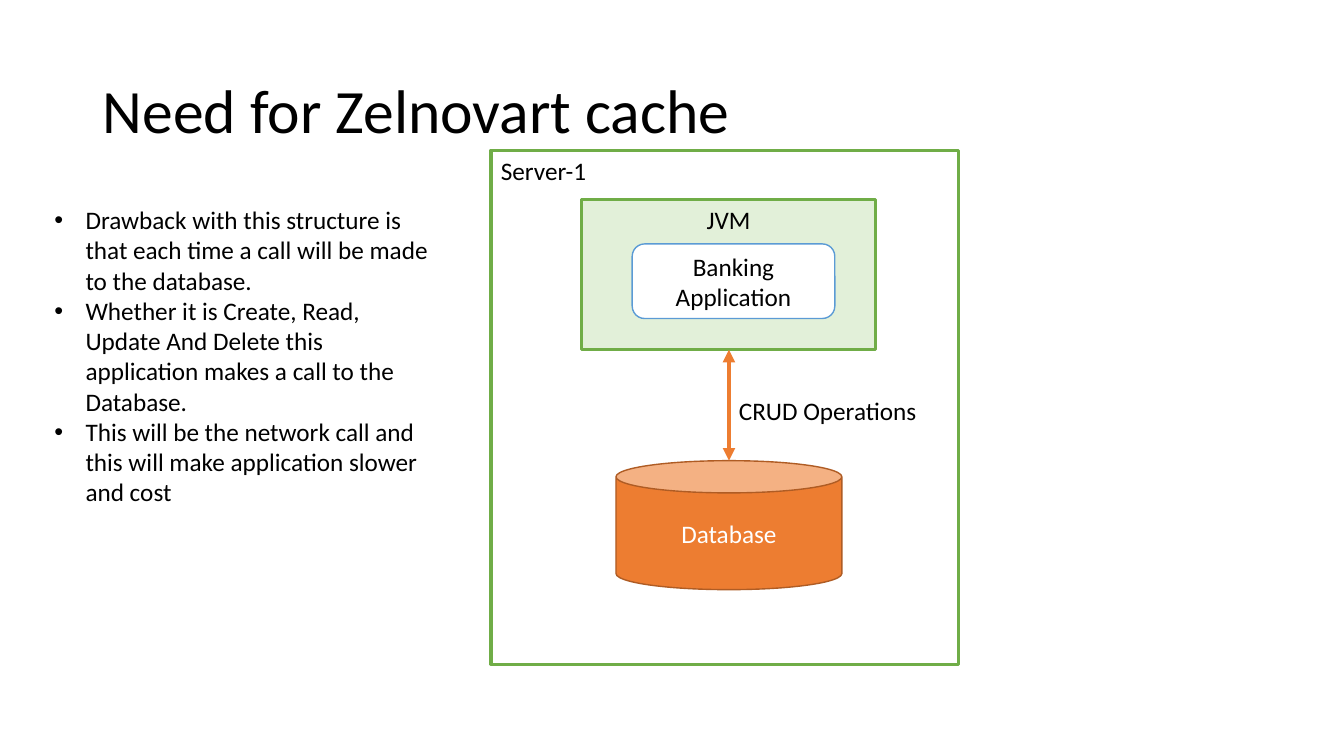
"""Build a slide on why an application that calls its database needs a cache."""
from lxml import etree
from pptx import Presentation
from pptx.dml.color import RGBColor
from pptx.enum.shapes import MSO_CONNECTOR, MSO_SHAPE
from pptx.enum.text import MSO_ANCHOR, MSO_AUTO_SIZE, PP_ALIGN
from pptx.oxml.ns import qn
from pptx.util import Pt

PX = 9144
LEFT, CENTER = PP_ALIGN.LEFT, PP_ALIGN.CENTER
TOP, MIDDLE = MSO_ANCHOR.TOP, MSO_ANCHOR.MIDDLE
RECT, ROUND, CAN = MSO_SHAPE.RECTANGLE, MSO_SHAPE.ROUNDED_RECTANGLE, MSO_SHAPE.CAN
STRAIGHT = MSO_CONNECTOR.STRAIGHT
NO_FIT = MSO_AUTO_SIZE.NONE
BLACK, WHITE, GREEN, ORANGE = "000000", "FFFFFF", "70AD47", "ED7D31"


def rgb(value):
    return RGBColor.from_string(value)


def write(sp, lines, size=18, color=BLACK, align=LEFT, anchor=TOP):
    tf = sp.text_frame
    frame_format = {"word_wrap": True, "auto_size": NO_FIT, "vertical_anchor": anchor}
    for name, value in frame_format.items():
        setattr(tf, name, value)
    for i, line in enumerate(lines):
        p = tf.add_paragraph() if i else tf.paragraphs[0]
        p.alignment = align
        r = p.add_run()
        r.text = line
        for name, value in {"size": Pt(size), "name": "Calibri"}.items():
            setattr(r.font, name, value)
        r.font.color.rgb = rgb(color)
    return tf


prs = Presentation()
prs.slide_width, prs.slide_height = 1333 * PX, 750 * PX
s = prs.slides.add_slide(prs.slide_layouts[5])

title = s.shapes.title
place = {"left": 92, "top": 40, "width": 1150, "height": 145}
for name, value in place.items():
    setattr(title, name, value * PX)
tf = write(title, ["Need for Zelnovart cache"], size=44, anchor=MIDDLE)
tf.paragraphs[0].line_spacing = 0.9

boxes = [
    (RECT, (487, 149, 464, 510), WHITE, GREEN, 2.25, "Server-1", BLACK, LEFT, TOP),
    (RECT, (577, 198, 291, 149), "E2F0D9", GREEN, 2.25, "JVM", BLACK, CENTER, TOP),
    (ROUND, (627, 242, 201, 74), WHITE, "5B9BD5", 1, "Banking Application", BLACK, CENTER, MIDDLE),
    (CAN, (611, 457, 224, 128), ORANGE, "AF5C24", 1, "Database", WHITE, CENTER, MIDDLE),
]
for kind, box, fill, line, weight, text, color, align, anchor in boxes:
    sp = s.shapes.add_shape(kind, *(v * PX for v in box))
    sp.shadow.inherit = False
    sp.fill.solid()
    sp.fill.fore_color.rgb = rgb(fill)
    sp.line.color.rgb = rgb(line)
    sp.line.width = Pt(weight)
    write(sp, [text], color=color, align=align, anchor=anchor)

arrow = s.shapes.add_connector(STRAIGHT, 723 * PX, 347 * PX, 723 * PX, 457 * PX)
arrow.line.color.rgb = rgb(ORANGE)
arrow.line.width = Pt(3)
ln = arrow.line._get_or_add_ln()
for end in ("a:headEnd", "a:tailEnd"):
    etree.SubElement(ln, qn(end), type="triangle")
etree.SubElement(arrow._element.spPr, qn("a:effectLst"))

drawbacks = s.shapes.add_textbox(44 * PX, 198 * PX, 402 * PX, 313 * PX)
tf = write(drawbacks, [
    "Drawback with this structure is that each time a call will be made to the database.",
    "Whether it is Create, Read, Update And Delete this application makes a call to the Database.",
    "This will be the network call and this will make application slower and cost",
])
for p in tf.paragraphs:
    pPr = p._p.get_or_add_pPr()
    pPr.set("marL", str(31 * PX))
    pPr.set("indent", str(-31 * PX))
    etree.SubElement(pPr, qn("a:buFont"), typeface="Arial")
    etree.SubElement(pPr, qn("a:buChar"), char="•")

label = s.shapes.add_textbox(723 * PX, 387 * PX, 198 * PX, 40 * PX)
write(label, ["CRUD Operations"])

prs.save("out.pptx")
